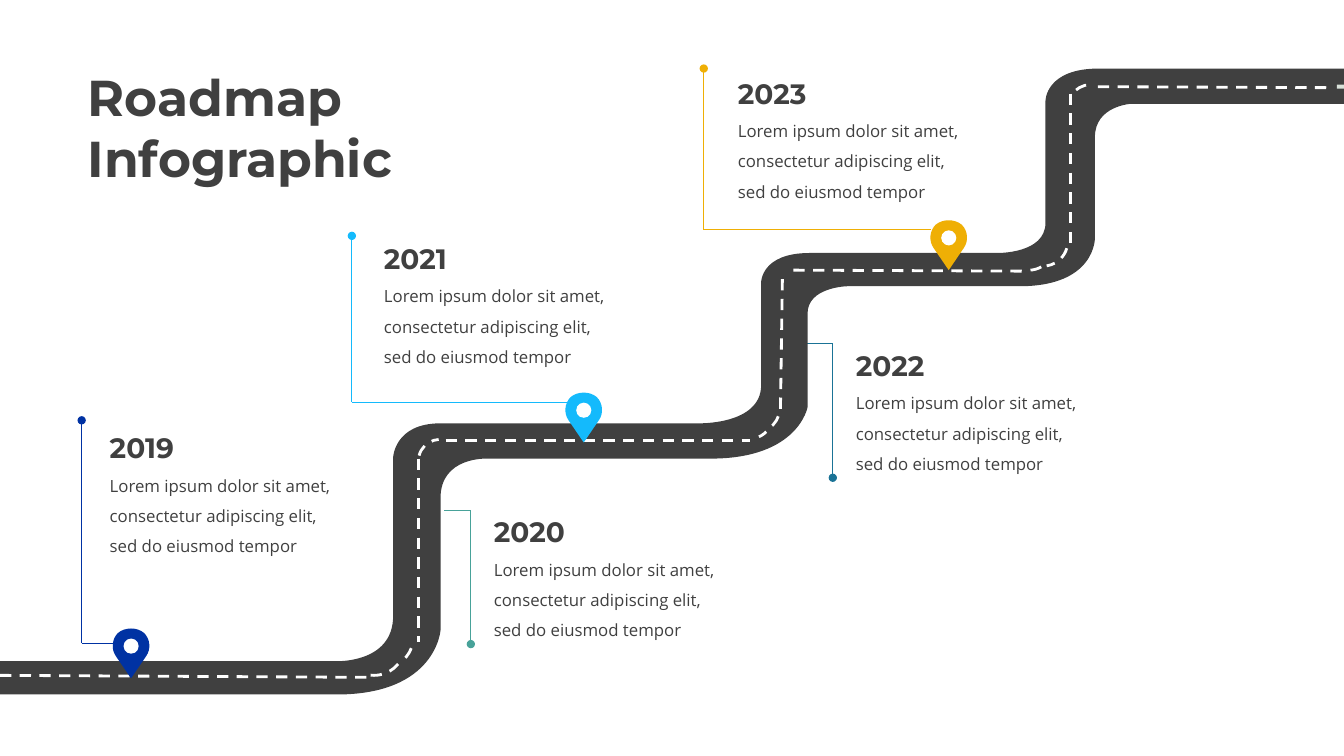
from lxml import etree
from pptx import Presentation
from pptx import util as u
from pptx.dml.color import RGBColor
from pptx.enum import dml, shapes, text
from pptx.oxml import ns

THEME = {
    "ink": "404040", "white": "FFFFFF", "road_end": "D9E2DA",
    "heading_font": "Montserrat", "body_font": "Open Sans",
    "title_size": 36, "year_size": 20, "body_size": 12,
    "leader_width": 0.75, "lane_width": 2,
}

TITLE = "Roadmap Infographic"
BLURB = "Lorem ipsum dolor sit amet, consectetur adipiscing elit, sed do eiusmod tempor"

MILESTONES = [
    {"year": "2019", "color": "0032A3", "card": (0.99, 4.06), "dot": (0.81, 4.17),
     "foot": (1.13, 6.38), "pin": (1.3, 6.73)},
    {"year": "2020", "color": "48A299", "card": (4.8, 4.89), "dot": (4.67, 6.39),
     "foot": (4.4, 5.06), "pin": None},
    {"year": "2021", "color": "14BAFC", "card": (3.71, 2.18), "dot": (3.49, 2.34),
     "foot": (5.72, 3.99), "pin": (5.79, 4.39)},
    {"year": "2022", "color": "1A7396", "card": (8.39, 3.24), "dot": (8.26, 4.74),
     "foot": (8, 3.41), "pin": None},
    {"year": "2023", "color": "EFAF05", "card": (7.22, 0.54), "dot": (6.98, 0.68),
     "foot": (9.23, 2.28), "pin": (9.41, 2.68)},
]

ROAD = [
    [(0, 6.56)], [(3.32, 6.56)],
    [(3.32, 6.56), (3.9, 6.59), (3.9, 6.11)], [(3.9, 4.54)],
    [(3.9, 4.54), (3.91, 4.2), (4.37, 4.2)], [(6.92, 4.2)],
    [(6.92, 4.2), (7.55, 4.22), (7.55, 3.82)], [(7.55, 2.8)],
    [(7.55, 2.8), (7.55, 2.51), (8.03, 2.51)], [(9.89, 2.51)],
    [(9.89, 2.51), (10.37, 2.52), (10.37, 2.21)], [(10.37, 1)],
    [(10.37, 1), (10.37, 0.68), (10.9, 0.68)], [(13.33, 0.68)],
    [(13.33, 1.03)], [(11.22, 1.03)],
    [(11.22, 1.03), (10.86, 1.05), (10.86, 1.36)], [(10.86, 2.36)],
    [(10.86, 2.36), (10.87, 2.84), (10.11, 2.84)], [(8.4, 2.84)],
    [(8.4, 2.84), (8.01, 2.85), (8.01, 3.11)], [(8.01, 4.04)],
    [(8.01, 4.04), (7.92, 4.55), (7.05, 4.55)], [(4.83, 4.55)],
    [(4.83, 4.55), (4.37, 4.53), (4.37, 4.94)], [(4.37, 6.25)],
    [(4.37, 6.25), (4.33, 6.89), (3.34, 6.89)], [(0, 6.89)],
]

PIN = [
    [(0, 0)], [(-0.15, -0.22)],
    [(-0.2, -0.29), (-0.19, -0.39), (-0.13, -0.45)],
    [(-0.06, -0.51), (0.06, -0.51), (0.13, -0.45)],
    [(0.19, -0.39), (0.2, -0.29), (0.15, -0.22)],
]
PIN_HOLE = {"diameter": 0.15, "rise": 0.32}

LANE_STRAIGHTS = [
    ((0, 6.7), (3.67, 6.72)), ((4.15, 4.55), (4.15, 6.37)),
    ((4.42, 4.37), (7.44, 4.37)), ((7.76, 2.77), (7.74, 4.12)),
    ((7.87, 2.68), (10.14, 2.69)), ((10.62, 0.93), (10.62, 2.44)),
    ((10.89, 0.86), (13.16, 0.87)),
]
LANE_BENDS = [
    (3.48, 6.01, 0.62, 21, 49.7), (3.4, 6.08, 0.62, 39.5, 97.5),
    (4.15, 4.36, 0.43, 194.8, 266.3), (7.23, 3.92, 0.43, 43.8, 67.5),
    (7.3, 3.85, 0.43, 17.8, 67.5), (10.6, 0.84, 0.43, 228.8, 273.1),
    (9.96, 2.19, 0.49, 60.1, 88.8), (10.1, 2.15, 0.49, 16, 81.5),
]
ARC_UNITS_PER_DEGREE = 0.6
CURVE_STEPS = 24


def rgb(color):
    return RGBColor.from_string(color)


def inches(*lengths):
    return [u.Inches(length) for length in lengths]


def flatten(segments):
    points = []
    for segment in segments:
        if len(segment) == 1:
            points.append(segment[0])
            continue
        controls = [points[-1], *segment]
        for step in range(1, CURVE_STEPS + 1):
            t = step / CURVE_STEPS
            weights = ((1 - t) ** 3, 3 * t * (1 - t) ** 2, 3 * t * t * (1 - t), t ** 3)
            points.append(tuple(sum(w * c[axis] for w, c in zip(weights, controls))
                                for axis in (0, 1)))
    return points


def paint(shape, color):
    shape.shadow.inherit = False
    shape.fill.solid()
    shape.fill.fore_color.rgb = rgb(color)
    shape.line.fill.background()


def add_outline(slide, segments, color, origin=(0, 0)):
    placed = [[(origin[0] + x, origin[1] + y) for x, y in segment] for segment in segments]
    corners = [inches(*point) for point in flatten(placed)]
    builder = slide.shapes.build_freeform(*corners[0])
    builder.add_line_segments(corners[1:], close=True)
    outline = builder.convert_to_shape()
    curve = outline._element.spPr.find(".//" + ns.qn("a:path"))
    for straight in list(curve):
        curve.remove(straight)
    for index, segment in enumerate(placed):
        kind = "a:cubicBezTo" if len(segment) == 3 else "a:lnTo" if index else "a:moveTo"
        command = etree.SubElement(curve, ns.qn(kind))
        for x, y in segment:
            etree.SubElement(command, ns.qn("a:pt"), x=str(u.Inches(x) - outline.left),
                             y=str(u.Inches(y) - outline.top))
    etree.SubElement(curve, ns.qn("a:close"))
    paint(outline, color)


def add_preset(slide, preset, box, color):
    paint(slide.shapes.add_shape(preset, *inches(*box)), color)


def add_text(slide, box, words, font, size, bold=False, spacing=1.0):
    frame = slide.shapes.add_textbox(*inches(*box)).text_frame
    frame.word_wrap = True
    frame.auto_size = text.MSO_AUTO_SIZE.SHAPE_TO_FIT_TEXT
    frame.text = words
    paragraph = frame.paragraphs[0]
    paragraph.line_spacing = spacing
    face = paragraph.runs[0].font
    face.name, face.size, face.bold = font, u.Pt(size), bold
    face.color.rgb = rgb(THEME["ink"])


def stroke(line, color, width, dashed=False):
    line.color.rgb = rgb(color)
    line.width = u.Pt(width)
    if dashed:
        line.dash_style = dml.MSO_LINE.DASH


def add_line(slide, start, end, color, width, dashed=False, dot=False):
    connector = slide.shapes.add_connector(
        shapes.MSO_CONNECTOR.STRAIGHT, *inches(*start, *end))
    stroke(connector.line, color, width, dashed)
    properties = connector._element.spPr
    if dot:
        etree.SubElement(properties.find(ns.qn("a:ln")), ns.qn("a:headEnd"), type="oval")
    etree.SubElement(properties, ns.qn("a:effectLst"))


def add_milestone(slide, milestone):
    x, y = milestone["card"]
    add_text(slide, (x, y + 0.51, 2.5, 0.98), BLURB,
             THEME["body_font"], THEME["body_size"], spacing=1.5)
    add_text(slide, (x, y, 2.84, 0.56), milestone["year"],
             THEME["heading_font"], THEME["year_size"], bold=True, spacing=1.5)
    dot, foot = milestone["dot"], milestone["foot"]
    corner = (dot[0], foot[1])
    add_line(slide, dot, corner, milestone["color"], THEME["leader_width"], dot=True)
    add_line(slide, corner, foot, milestone["color"], THEME["leader_width"])


def add_road(slide):
    add_outline(slide, ROAD, THEME["ink"])
    add_preset(slide, shapes.MSO_SHAPE.RECTANGLE, (13.26, 0.84, 0.07, 0.04), THEME["road_end"])
    for start, end in LANE_STRAIGHTS:
        add_line(slide, start, end, THEME["white"], THEME["lane_width"], dashed=True)
    for x, y, diameter, begin, finish in LANE_BENDS:
        bend = slide.shapes.add_shape(shapes.MSO_SHAPE.ARC, *inches(x, y, diameter, diameter))
        bend.shadow.inherit = False
        bend.fill.background()
        stroke(bend.line, THEME["white"], THEME["lane_width"], dashed=True)
        bend.adjustments[0] = begin * ARC_UNITS_PER_DEGREE
        bend.adjustments[1] = finish * ARC_UNITS_PER_DEGREE


def add_pin(slide, tip, color):
    add_outline(slide, PIN, color, tip)
    size = PIN_HOLE["diameter"]
    left, top = tip[0] - size / 2, tip[1] - PIN_HOLE["rise"] - size / 2
    add_preset(slide, shapes.MSO_SHAPE.OVAL, (left, top, size, size), THEME["white"])


def main():
    deck = Presentation()
    deck.slide_width, deck.slide_height = inches(13.33, 7.5)
    slide = deck.slides.add_slide(deck.slide_layouts[6])
    for milestone in MILESTONES:
        add_milestone(slide, milestone)
    add_text(slide, (0.77, 0.61, 4.95, 1.31), TITLE,
             THEME["heading_font"], THEME["title_size"], bold=True)
    add_road(slide)
    for milestone in MILESTONES:
        if milestone["pin"]:
            add_pin(slide, milestone["pin"], milestone["color"])
    deck.save("out.pptx")


if __name__ == "__main__":
    main()
